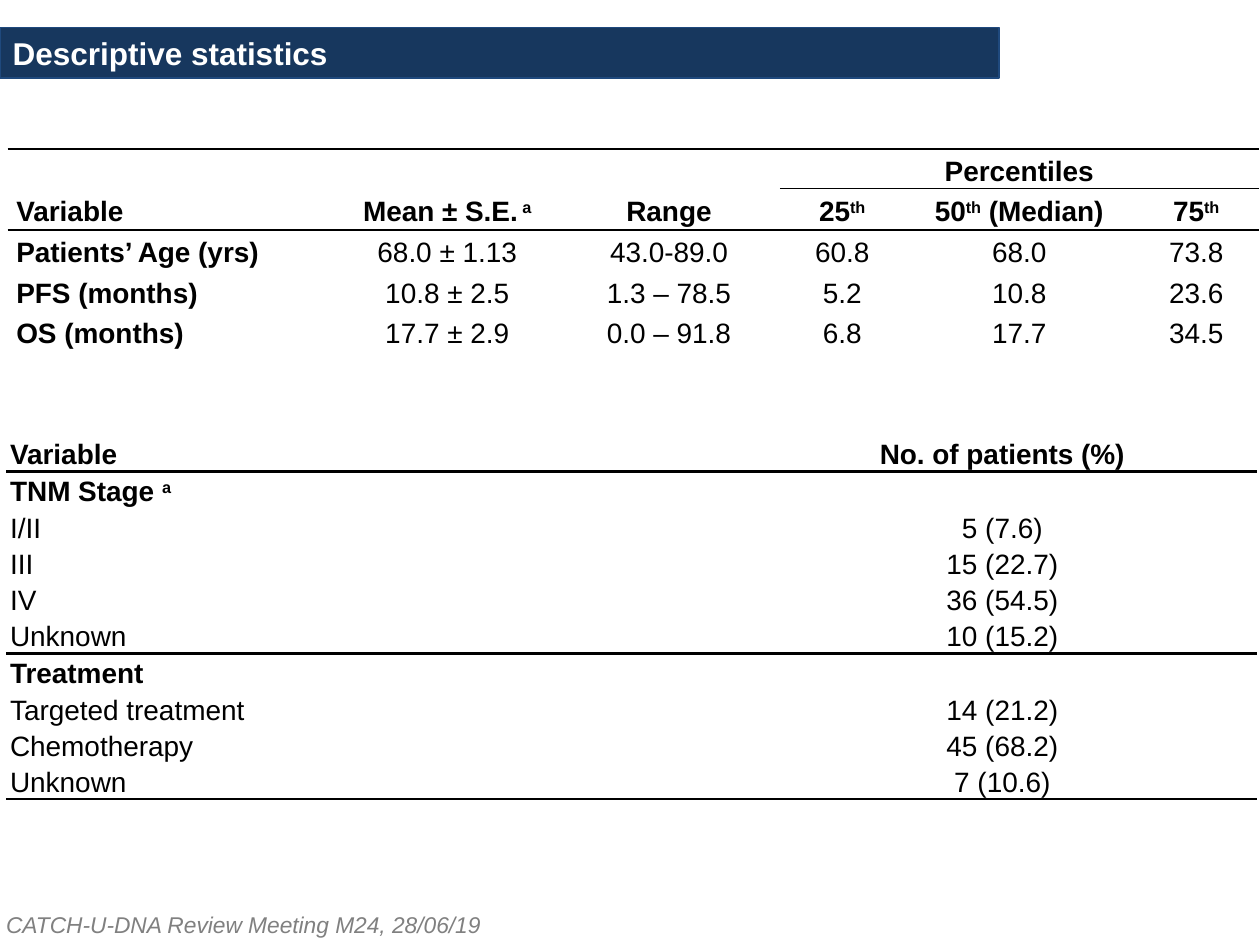
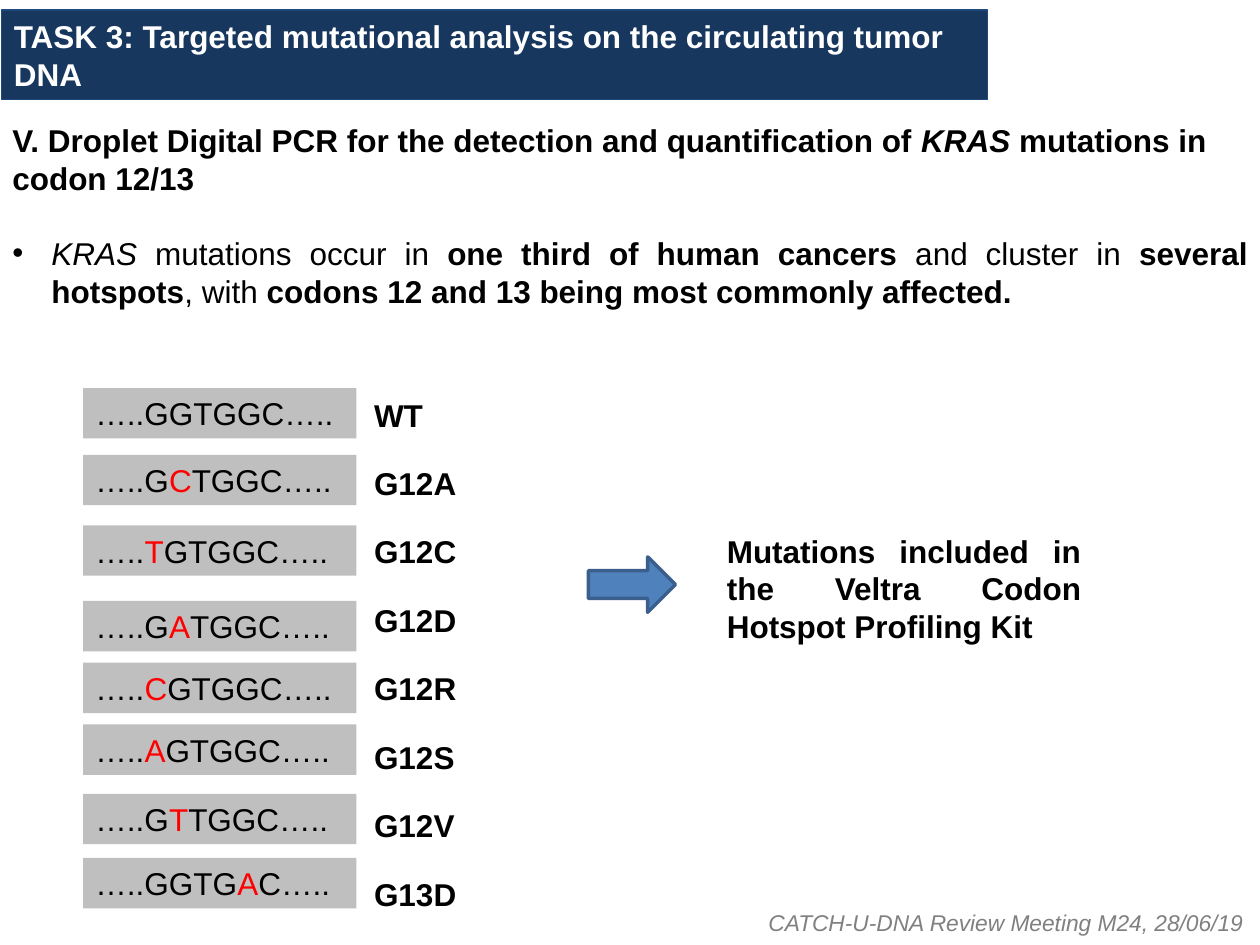
import lxml.etree
import pptx
import pptx.dml.color
import pptx.enum.shapes
import pptx.enum.text
import pptx.oxml.ns
import pptx.util

Inches, Pt = pptx.util.Inches, pptx.util.Pt
SHAPES = pptx.enum.shapes.MSO_SHAPE
ALIGN = pptx.enum.text.PP_ALIGN
ANCHOR = pptx.enum.text.MSO_ANCHOR
FIT = pptx.enum.text.MSO_AUTO_SIZE
qn = pptx.oxml.ns.qn

WIDTH, HEIGHT = 10, 7.5
FONT = "Arial"
COLORS = {"band": "17375E", "band line": "1F497D", "text": "000000", "white": "FFFFFF",
          "footer": "808080", "sequence": "BFBFBF", "mutation": "FF0000",
          "arrow": "4F81BD", "arrow line": "3A5F8C"}
NO_TABLE_STYLE = "{2D5ABB26-0587-4C30-8999-92F81FD0307C}"
FOOTER = "CATCH-U-DNA Review Meeting M24, 28/06/19"

# A paragraph is a string or a list of runs; a run is a string or (text, format).
PLAIN, SUPERSCRIPT = {"bold": False}, {"superscript": True}

STATISTICS = {
    "at": (0.06, 1.18), "columns": (2.61, 1.76, 1.76, 0.99, 1.82, 0.99),
    "rows": (0.31, 0.33, 0.32, 0.32, 0.32), "margins": (0.07, 0.01, 0.07, 0),
    "line_spacing": 1.15, "bold_rows": (0, 1), "bold_first_column": True,
    "cells": [
        ["", "", "", "Percentiles", "", ""],
        ["Variable", ["Mean ± S.E.", (" a", SUPERSCRIPT)], "Range", ["25", ("th", SUPERSCRIPT)],
         ["50", ("th", SUPERSCRIPT), " (Median)"], ["75", ("th", SUPERSCRIPT)]],
        ["Patients’ Age (yrs)", "68.0 ± 1.13", "43.0-89.0", "60.8", "68.0", "73.8"],
        ["PFS (months)", "10.8 ± 2.5", "1.3 – 78.5", "5.2", "10.8", "23.6"],
        ["OS (months)", "17.7 ± 2.9", "0.0 – 91.8", "6.8", "17.7", "34.5"],
    ],
    "merge": ((0, 3), (0, 5)),
    # (row, side, first column, width in points)
    "rules": [(0, "T", 0, 1.5), (0, "B", 3, 1), (1, "B", 0, 1.5)],
}
PATIENTS = {
    "at": (0.05, 3.46), "columns": (5.88, 4.05),
    "rows": (0.28,) * 10, "margins": (0.03, 0, 0.03, 0),
    "line_spacing": 1.07, "bold_rows": (0, 1, 6), "bold_first_column": False,
    "cells": [
        ["Variable", "No. of patients (%)"],
        [["TNM Stage ", ("a", SUPERSCRIPT)], ""],
        ["I/II", "5 (7.6)"], ["III", "15 (22.7)"], ["IV", "36 (54.5)"], ["Unknown", "10 (15.2)"],
        ["Treatment", ""],
        ["Targeted treatment", "14 (21.2)"], ["Chemotherapy", "45 (68.2)"],
        ["Unknown", "7 (10.6)"],
    ],
    "merge": None,
    "rules": [(0, "B", 0, 2), (5, "B", 0, 2), (9, "B", 0, 1.5)],
}

HEADING = ["V. Droplet Digital PCR for the detection and quantification of ",
           ("KRAS", {"italic": True}), " mutations in codon 12/13"]
KRAS_FACT = [("KRAS", {"bold": False, "italic": True}), (" mutations occur in ", PLAIN),
             "one third of human cancers ", ("and cluster in ", PLAIN), "several hotspots",
             (", with ", PLAIN), "codons 12 and 13 being most commonly affected."]
KIT = "Mutations included in the Veltra Codon Hotspot Profiling Kit"

# Variant, bases, index of the changed base, top of the box
SEQUENCES = [
    ("WT", "GGTGGC", None, 3.08), ("G12A", "GCTGGC", 1, 3.61),
    ("G12C", "TGTGGC", 0, 4.17), ("G12D", "GATGGC", 1, 4.77),
    ("G12R", "CGTGGC", 0, 5.26), ("G12S", "AGTGGC", 0, 5.75),
    ("G12V", "GTTGGC", 1, 6.30), ("G13D", "GGTGAC", 4, 6.81),
]
SEQUENCE_LEFT, SEQUENCE_WIDTH, SEQUENCE_HEIGHT = 0.66, 2.17, 0.4


def rgb(name):
    return pptx.dml.color.RGBColor.from_string(COLORS[name])


def write_text(frame, paragraphs, size=18, color="text", bold=False, italic=False,
               align=ALIGN.LEFT, line_spacing=None, space_after=None):
    for index, runs in enumerate(paragraphs):
        paragraph = frame.add_paragraph() if index else frame.paragraphs[0]
        paragraph.alignment = align
        if line_spacing:
            paragraph.line_spacing = line_spacing
        if space_after:
            paragraph.space_after = Pt(space_after)
        for item in [runs] if isinstance(runs, str) else runs:
            text, style = (item, {}) if isinstance(item, str) else item
            run = paragraph.add_run()
            run.text = text
            run.font.name, run.font.size = FONT, Pt(size)
            run.font.bold = style.get("bold", bold)
            run.font.italic = style.get("italic", italic)
            run.font.color.rgb = rgb(style.get("color", color))
            if style.get("superscript"):
                run._r.get_or_add_rPr().set("baseline", "30000")


def add_text(slide, box, paragraphs, wrap=True, **text_format):
    frame = slide.shapes.add_textbox(*map(Inches, box)).text_frame
    frame.word_wrap = wrap
    frame.auto_size = FIT.NONE if wrap else FIT.SHAPE_TO_FIT_TEXT
    write_text(frame, paragraphs, **text_format)
    return frame


def paint(shape, fill, line=None, width=0.75):
    shape.fill.solid()
    shape.fill.fore_color.rgb = rgb(fill)
    if line:
        shape.line.color.rgb = rgb(line)
        shape.line.width = Pt(width)
    else:
        shape.line.fill.background()


def add_block(slide, preset, box, fill, **outline):
    shape = slide.shapes.add_shape(preset, *map(Inches, box))
    shape.shadow.inherit = False
    paint(shape, fill, **outline)
    return shape


def add_slide(presentation, title, title_box, footer_at):
    """Add a slide with the title band and the meeting footer."""
    slide = presentation.slides.add_slide(presentation.slide_layouts[5])
    band = slide.shapes.title
    band.left, band.top, band.width, band.height = map(Inches, title_box)
    paint(band, "band", "band line")
    frame = band.text_frame
    frame.word_wrap, frame.auto_size = True, FIT.NONE
    frame.vertical_anchor = ANCHOR.MIDDLE
    write_text(frame, [title], color="white", bold=True)
    add_text(slide, (*footer_at, 4.02, 0.32), [FOOTER], wrap=False,
             size=13, color="footer", italic=True)
    return slide


def add_border(cell, side, width):
    properties = cell._tc.get_or_add_tcPr()
    line = lxml.etree.Element(qn(f"a:ln{side}"), w=str(Pt(width)))
    fill = lxml.etree.SubElement(line, qn("a:solidFill"))
    lxml.etree.SubElement(fill, qn("a:srgbClr"), val=COLORS["text"])
    properties.insert(len(properties.findall(qn("a:lnT"))), line)


def add_ruled_table(slide, data):
    columns, rows, cells = data["columns"], data["rows"], data["cells"]
    box = (*data["at"], sum(columns), sum(rows))
    table = slide.shapes.add_table(len(rows), len(columns), *map(Inches, box)).table
    table.first_row = table.horz_banding = False
    table._tbl.tblPr.find(qn("a:tableStyleId")).text = NO_TABLE_STYLE
    for column, width in zip(table.columns, columns):
        column.width = Inches(width)
    for r, height in enumerate(rows):
        table.rows[r].height = Inches(height)
        for c, content in enumerate(cells[r]):
            cell = table.cell(r, c)
            cell.fill.background()
            cell.vertical_anchor = ANCHOR.MIDDLE
            (cell.margin_left, cell.margin_top,
             cell.margin_right, cell.margin_bottom) = map(Inches, data["margins"])
            if content:
                bold = r in data["bold_rows"] or (c == 0 and data["bold_first_column"])
                write_text(cell.text_frame, [content], size=16, bold=bold,
                           line_spacing=data["line_spacing"],
                           align=ALIGN.CENTER if c else ALIGN.LEFT)
    if data["merge"]:
        first, last = data["merge"]
        table.cell(*first).merge(table.cell(*last))
    for row, side, first_column, width in data["rules"]:
        for c in range(first_column, len(columns)):
            add_border(table.cell(row, c), side, width)


def add_bullet(paragraph, indent):
    properties = paragraph._p.get_or_add_pPr()
    properties.set("marL", str(Inches(indent)))
    properties.set("indent", str(-Inches(indent)))
    lxml.etree.SubElement(properties, qn("a:buFont"), typeface=FONT)
    lxml.etree.SubElement(properties, qn("a:buChar"), char="•")


def sequence_runs(bases, changed):
    dots = "….."
    if changed is None:
        return [dots + bases + dots]
    return [dots + bases[:changed], (bases[changed], {"color": "mutation"}),
            bases[changed + 1:] + dots]


def build_statistics(presentation):
    slide = add_slide(presentation, "Descriptive statistics", (0, 0.22, 7.93, 0.4),
                      (-0.05, 7.18))
    add_ruled_table(slide, PATIENTS)
    add_ruled_table(slide, STATISTICS)


def build_mutations(presentation):
    slide = add_slide(presentation,
                      "TASK 3: Targeted mutational analysis on the circulating tumor DNA",
                      (0.01, 0.08, 7.83, 0.71), (6, 7.16))
    body = add_text(slide, (0, 0.91, WIDTH, 3.01), [HEADING, KRAS_FACT], bold=True)
    fact = body.paragraphs[1]
    fact.alignment = ALIGN.JUSTIFY
    fact.space_before = Pt(21.5)
    add_bullet(fact, 0.31)

    for _, bases, changed, top in SEQUENCES:
        block = add_block(slide, SHAPES.RECTANGLE,
                          (SEQUENCE_LEFT, top, SEQUENCE_WIDTH, SEQUENCE_HEIGHT), "sequence")
        block.text_frame.vertical_anchor = ANCHOR.TOP
        write_text(block.text_frame, [sequence_runs(bases, changed)])
    add_text(slide, (2.87, 3.07, 0.99, 4.25), [variant for variant, *_ in SEQUENCES],
             bold=True, line_spacing=1.07, space_after=16)

    add_block(slide, SHAPES.RIGHT_ARROW, (4.67, 4.42, 0.69, 0.44), "arrow",
              line="arrow line", width=2)
    add_text(slide, (5.67, 4.17, 3.01, 1.01), [KIT], bold=True, align=ALIGN.JUSTIFY)


def main():
    presentation = pptx.Presentation()
    presentation.slide_width, presentation.slide_height = Inches(WIDTH), Inches(HEIGHT)
    build_statistics(presentation)
    build_mutations(presentation)
    presentation.save("out.pptx")


if __name__ == "__main__":
    main()
